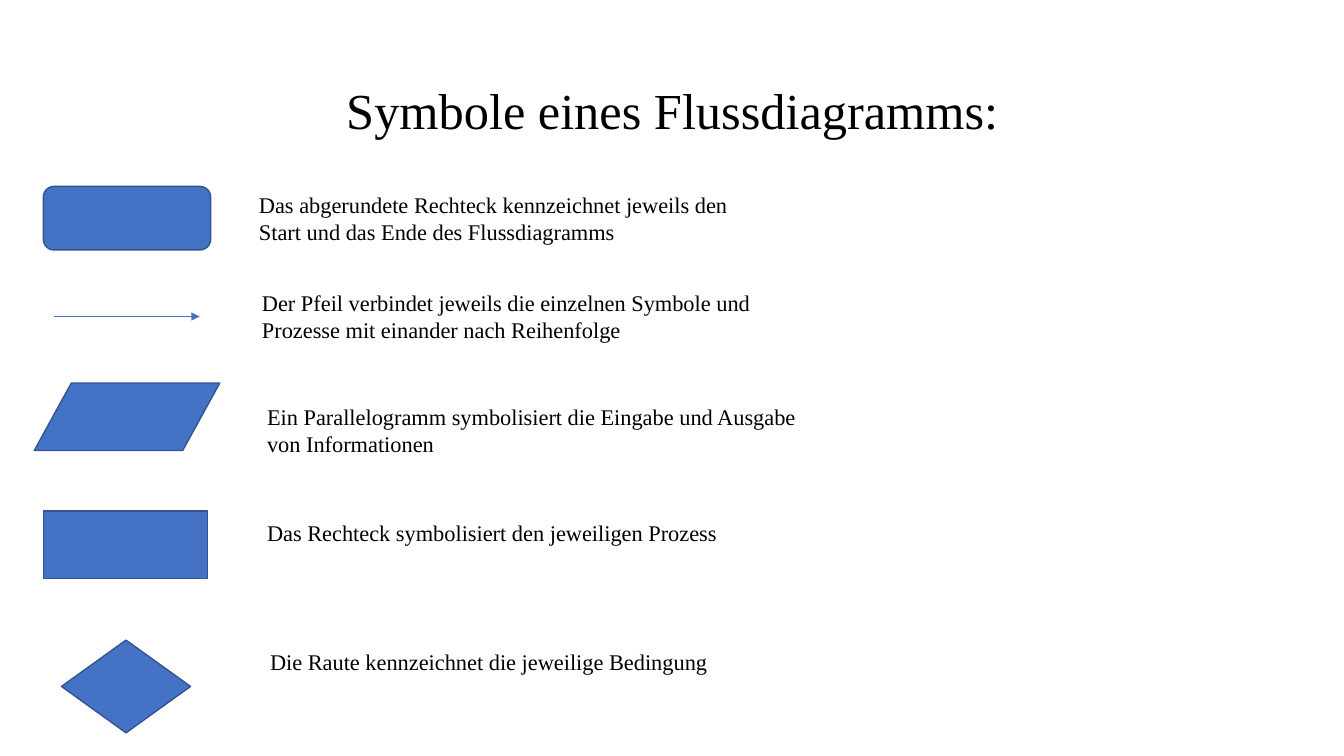
from lxml.etree import SubElement
from pptx import Presentation
from pptx.dml.color import RGBColor
from pptx.enum.shapes import MSO_CONNECTOR, MSO_SHAPE
from pptx.enum.text import MSO_ANCHOR, MSO_AUTO_SIZE, PP_ALIGN
from pptx.oxml.ns import qn
from pptx.util import Pt

PX = 9144  # EMU per px, 100 px to the inch
FONT = "Times New Roman"
COLORS = {"back": "FFFFFF", "fill": "4472C4", "edge": "325491", "text": "000000"}

# Symbol, its box, text, text box
ROWS = [
    (MSO_SHAPE.ROUNDED_RECTANGLE, (43, 185, 166, 63),
     "Das abgerundete Rechteck kennzeichnet jeweils den Start und das Ende "
     "des Flussdiagramms", (247, 185, 529, 64)),
    (None, (54, 314, 144, 0),
     "Der Pfeil verbindet jeweils die einzelnen Symbole und Prozesse mit "
     "einander nach Reihenfolge", (250, 282, 526, 64)),
    (MSO_SHAPE.FLOWCHART_DATA, (34, 380, 184, 67),
     "Ein Parallelogramm symbolisiert die Eingabe und Ausgabe von "
     "Informationen", (255, 395, 549, 64)),
    (MSO_SHAPE.FLOWCHART_PROCESS, (43, 507, 163, 67),
     "Das Rechteck symbolisiert den jeweiligen Prozess", (255, 510, 549, 37)),
    (MSO_SHAPE.FLOWCHART_DECISION, (61, 635, 128, 92),
     "Die Raute kennzeichnet die jeweilige Bedingung", (258, 638, 542, 37)),
]


def color(name):
    return RGBColor.from_string(COLORS[name])


def scale(box):
    return [n * PX for n in box]


def add_text(slide, box, text, size):
    frame = slide.shapes.add_textbox(*scale(box)).text_frame
    frame.word_wrap = True
    para = frame.paragraphs[0]
    para.text = text
    para.font.name = FONT
    para.font.size = Pt(size)
    para.font.color.rgb = color("text")
    return frame


def add_title(slide, box, text):
    frame = add_text(slide, box, text, 36)
    frame.vertical_anchor = MSO_ANCHOR.MIDDLE
    frame.paragraphs[0].alignment = PP_ALIGN.CENTER
    frame.paragraphs[0].line_spacing = 0.9


def add_label(slide, box, text):
    frame = add_text(slide, box, text, 16)
    frame.auto_size = MSO_AUTO_SIZE.SHAPE_TO_FIT_TEXT


def add_symbol(slide, kind, box):
    shape = slide.shapes.add_shape(kind, *scale(box))
    shape.shadow.inherit = False
    shape.fill.solid()
    shape.fill.fore_color.rgb = color("fill")
    shape.line.color.rgb = color("edge")
    shape.line.width = Pt(1)


def add_arrow(slide, box):
    x, y, width, height = scale(box)
    arrow = slide.shapes.add_connector(
        MSO_CONNECTOR.STRAIGHT, x, y, x + width, y + height)
    arrow.line.color.rgb = color("fill")
    arrow.line.width = Pt(0.5)
    # Arrowhead, and no shadow
    SubElement(arrow.line._get_or_add_ln(), qn("a:tailEnd"), type="triangle")
    SubElement(arrow._element.spPr, qn("a:effectLst"))


def main():
    deck = Presentation()
    deck.slide_width, deck.slide_height = scale((1333, 750))
    slide = deck.slides.add_slide(deck.slide_layouts[6])
    slide.background.fill.solid()
    slide.background.fill.fore_color.rgb = color("back")

    # Heading
    add_title(slide, (92, 40, 1150, 145), "Symbole eines Flussdiagramms:")

    # Symbols and what they mean
    for kind, place, text, box in ROWS:
        if kind is None:
            add_arrow(slide, place)
        else:
            add_symbol(slide, kind, place)
        add_label(slide, box, text)

    deck.save("out.pptx")


if __name__ == "__main__":
    main()
